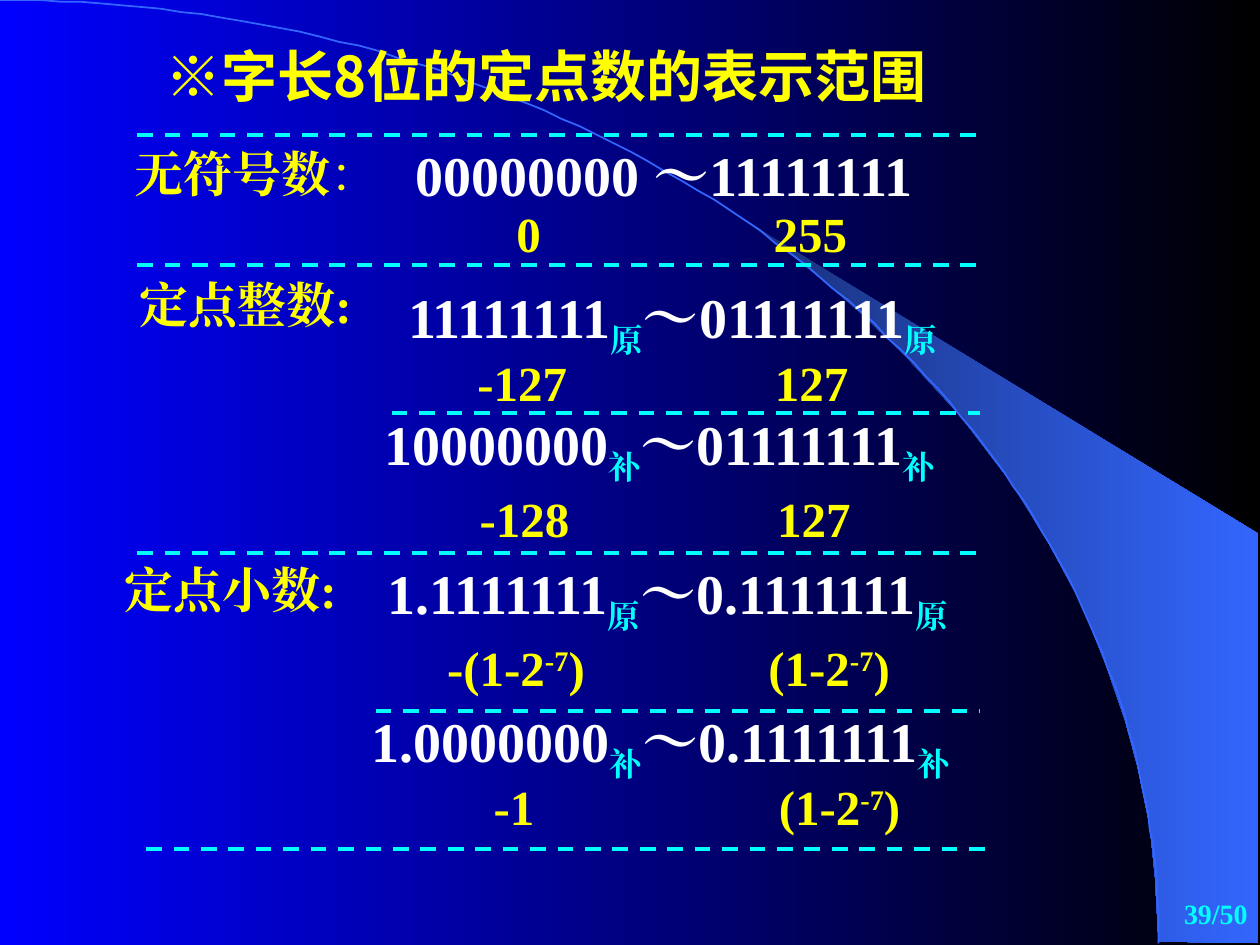
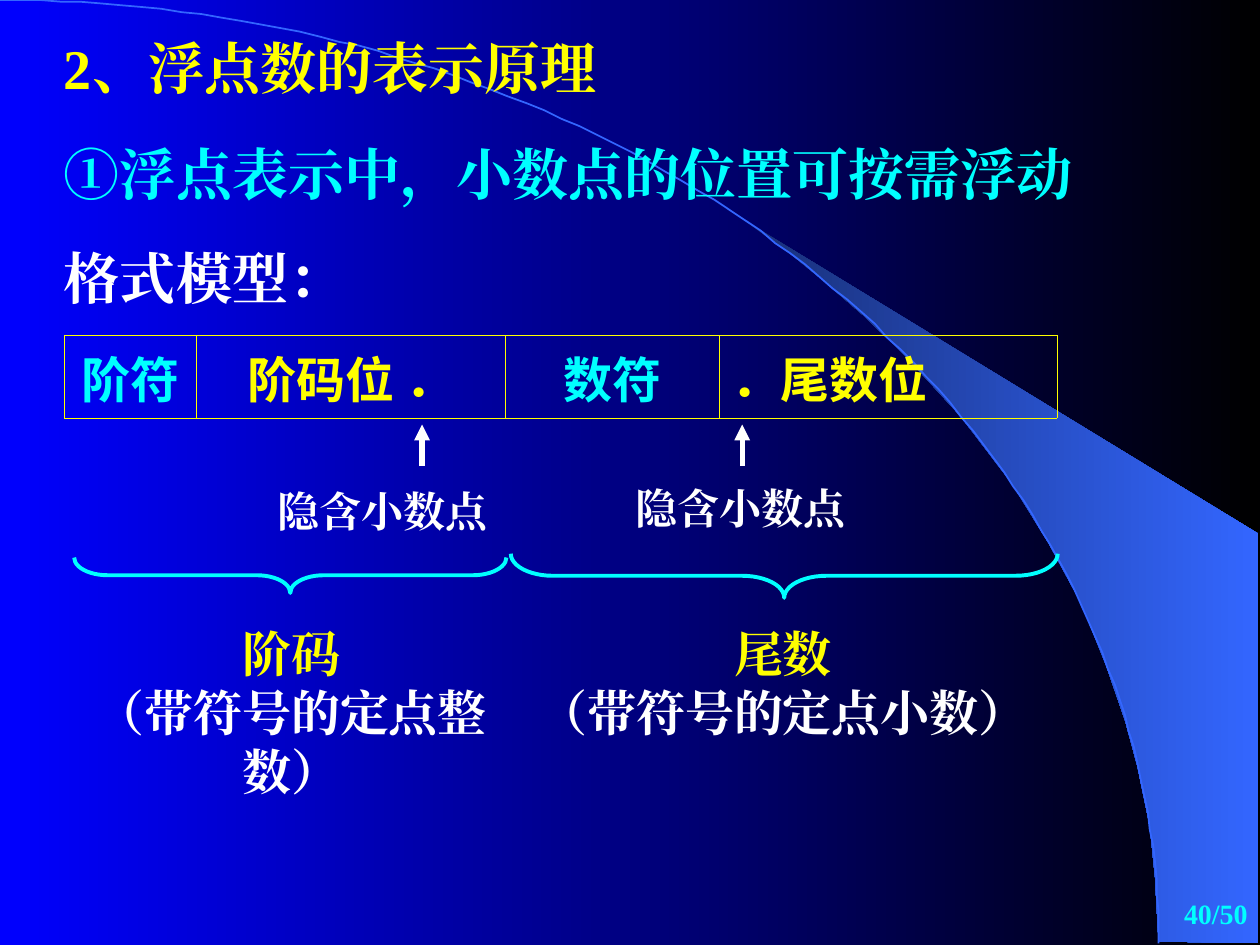
from dataclasses import dataclass
from math import cos, pi, sin
from typing import Optional

from lxml.etree import SubElement
from pptx import Presentation
from pptx.dml.color import RGBColor
from pptx.enum.dml import MSO_LINE
from pptx.enum.lang import MSO_LANGUAGE_ID
from pptx.enum.shapes import MSO_CONNECTOR, MSO_SHAPE
from pptx.enum.text import MSO_ANCHOR, PP_ALIGN
from pptx.oxml.ns import qn
from pptx.util import Pt


# Theme
@dataclass(frozen=True)
class Theme:
    blue: str = "0000FF"
    black: str = "000000"
    navy: str = "182F76"
    azure: str = "3366FF"
    yellow: str = "FFFF00"
    cyan: str = "00FFFF"
    white: str = "FFFFFF"
    serif: str = "Times New Roman"
    sans: str = "Noto Sans CJK SC"
    heading: int = 32
    body: int = 28
    note: int = 24
    footer: int = 16


THEME = Theme()
WIDTH, HEIGHT = 720, 540
TOTAL_PAGES = 50


# Descriptions of the repeated elements
@dataclass(frozen=True)
class Span:
    text: str
    color: Optional[str] = None
    baseline: int = 0
    bold: Optional[bool] = None


@dataclass(frozen=True)
class Para:
    spans: tuple[Span, ...]
    color: str = THEME.yellow
    size: int = THEME.body
    font: str = THEME.serif
    align: PP_ALIGN = PP_ALIGN.LEFT
    space_before: float = 0
    line_spacing: float = 1
    tab: Optional[float] = None


@dataclass(frozen=True)
class Area:
    left: float
    top: float
    width: float
    height: float


@dataclass(frozen=True)
class CodeRange:
    """Lowest and highest code word, with the name of the code as a subscript."""
    low: str
    high: str
    code: str
    area: Area
    line_spacing: float = 1


@dataclass(frozen=True)
class ValueRange:
    """Lowest and highest value, the second one at a tab stop."""
    low: tuple[Span, ...]
    high: tuple[Span, ...]
    left: float
    top: float
    tab: float


@dataclass(frozen=True)
class Rule:
    left: float
    right: float
    y: float


@dataclass(frozen=True)
class NumberPart:
    name: str
    note: str
    area: Area
    brace_center: tuple[float, float]
    brace_size: tuple[float, float]


@dataclass(frozen=True)
class PointMark:
    arrow_x: float
    label_left: float
    label_top: float


@dataclass(frozen=True)
class Field:
    text: str
    width: float
    color: str
    align: PP_ALIGN = PP_ALIGN.CENTER


# Drawing functions
def rgb(color: str) -> RGBColor:
    return RGBColor.from_string(color)


def write_para(paragraph, para: Para) -> None:
    paragraph.alignment = para.align
    paragraph.space_before = Pt(para.space_before)
    paragraph.line_spacing = para.line_spacing
    properties = paragraph._p.get_or_add_pPr()
    if para.tab is not None:
        tabs = SubElement(properties, qn("a:tabLst"))
        SubElement(tabs, qn("a:tab"), pos=str(Pt(para.tab)), algn="l")
    font = paragraph.font
    font.size, font.name, font.bold = Pt(para.size), para.font, True
    font.language_id = MSO_LANGUAGE_ID.SIMPLIFIED_CHINESE
    font.color.rgb = rgb(para.color)
    SubElement(properties.find(qn("a:defRPr")), qn("a:ea"), typeface=para.font)
    for span in para.spans:
        run = paragraph.add_run()
        run.text = span.text
        if span.color:
            run.font.color.rgb = rgb(span.color)
        if span.bold is not None:
            run.font.bold = span.bold
        if span.baseline:
            run._r.get_or_add_rPr().set("baseline", str(span.baseline * 1000))


def add_text(page, area: Area, *paras: Para, inset: tuple[float, float] = (7.2, 3.6),
             anchor: MSO_ANCHOR = MSO_ANCHOR.TOP) -> None:
    box = page.shapes.add_textbox(Pt(area.left), Pt(area.top), Pt(area.width), Pt(area.height))
    frame = box.text_frame
    frame.word_wrap = True
    frame.vertical_anchor = anchor
    frame.margin_left = frame.margin_right = Pt(inset[0])
    frame.margin_top = frame.margin_bottom = Pt(inset[1])
    for index, para in enumerate(paras):
        write_para(frame.add_paragraph() if index else frame.paragraphs[0], para)


def add_line(page, start: tuple[float, float], end: tuple[float, float],
             color: str, width: float):
    line = page.shapes.add_connector(MSO_CONNECTOR.STRAIGHT, *map(Pt, start + end))
    line.line.color.rgb = rgb(color)
    line.line.width = Pt(width)
    SubElement(line._element.spPr, qn("a:effectLst"))
    return line


def set_gradient(fill, first: str, last: str) -> None:
    fill.gradient()
    fill.gradient_angle = 0
    for stop, color in zip(fill.gradient_stops, (first, last)):
        stop.color.rgb = rgb(color)


def add_outline(page, points: list[tuple[float, float]], close: bool):
    builder = page.shapes.build_freeform(*points[0], scale=Pt(1))
    builder.add_line_segments(points[1:], close=close)
    shape = builder.convert_to_shape()
    shape.shadow.inherit = False
    return shape


# Shared page: background, light beam, arc and page number
BEAM = [(662.4, 538.5), (719.3, 539.3), (719.3, 304.6), (424.1, 124.6), (449.3, 143.3),
        (470.2, 159.8), (493.2, 180), (515.5, 201.6), (548.6, 237.6), (578.2, 276.5),
        (599, 310.3), (617.8, 344.9), (632.2, 380.2), (643, 411.8), (650.2, 438.5),
        (657.4, 472.3), (660.2, 501.1)]
ARC_WIDTH, ARC_HEIGHT, ARC_STEPS = 662.4, 539.3, 90


def add_page(deck, number: int):
    page = deck.slides.add_slide(deck.slide_layouts[6])
    set_gradient(page.background.fill, THEME.blue, THEME.black)
    beam = add_outline(page, BEAM, close=True)
    set_gradient(beam.fill, THEME.navy, THEME.azure)
    beam.line.fill.background()
    angles = [step * pi / 2 / ARC_STEPS for step in range(ARC_STEPS + 1)]
    arc = add_outline(page, [(ARC_WIDTH * sin(angle), ARC_HEIGHT * (1 - cos(angle)))
                             for angle in angles], close=False)
    arc.fill.background()
    arc.line.color.rgb = rgb(THEME.azure)
    arc.line.width = Pt(1)
    add_text(page, Area(570.2, 504, 149.8, 36),
             Para((Span(f"{number}/{TOTAL_PAGES}"),), THEME.cyan, THEME.footer,
                  align=PP_ALIGN.RIGHT), anchor=MSO_ANCHOR.MIDDLE)
    return page


# Ranges of 8-bit fixed-point numbers
POWER = Span("-7", baseline=30)
MAX_FRACTION = (Span("(1-2"), POWER, Span(")"))
LABELS = [
    ((Span("无符号数"), Span("：", bold=False)), 69.8, 78.5),
    ((Span("定点整数:"),), 72.7, 153.4),
    ((Span("定点小数:"),), 64.1, 316.1),
]
CODE_RANGES = [
    CodeRange("00000000 ", "11111111", "", Area(230.4, 77, 345, 46)),
    CodeRange("11111111", "01111111", "原", Area(226.1, 149, 380, 60), 1.2),
    CodeRange("10000000", "01111111", "补", Area(212.4, 230.4, 380, 51)),
    CodeRange("1.1111111", "0.1111111", "原", Area(214.6, 315.4, 400, 51)),
    CodeRange("1.0000000", "0.1111111", "补", Area(205.2, 400.3, 410, 51)),
]
VALUE_RANGES = [
    ValueRange((Span("0"),), (Span("255"),), 288, 113, 147),
    ValueRange((Span("-127"),), (Span("127"),), 265.7, 198, 170),
    ValueRange((Span("-128"),), (Span("127"),), 267, 275.8, 170),
    ValueRange((Span("-(1-2"), POWER, Span(")")), MAX_FRACTION, 248.4, 360.7, 183.6),
    ValueRange((Span("-1"),), MAX_FRACTION, 275, 440, 163),
]
RULES = [Rule(78.5, 560.2, 77), Rule(78.5, 560.2, 151.2), Rule(78.5, 560.2, 316.1),
         Rule(83.5, 565.2, 485.3), Rule(223.9, 560.2, 236.2), Rule(214.6, 560.2, 406.1)]


def build_range_page(deck) -> None:
    page = add_page(deck, 39)
    add_text(page, Area(54.7, 20.2, 514.8, 46),
             Para((Span("※字长8位的定点数的表示范围"),), size=THEME.heading,
                  font=THEME.sans, align=PP_ALIGN.CENTER))
    for spans, left, top in LABELS:
        add_text(page, Area(left, top, 170, 41), Para(spans))
    for item in CODE_RANGES:
        code = (Span(item.code, THEME.cyan, -25),) if item.code else ()
        spans = (Span(item.low), *code, Span("～" + item.high), *code)
        add_text(page, item.area, Para(spans, THEME.white, THEME.heading,
                                       line_spacing=item.line_spacing))
    for item in VALUE_RANGES:
        add_text(page, Area(item.left, item.top, 315, 41),
                 Para((*item.low, Span("\t"), *item.high), tab=item.tab))
    for rule in RULES:
        line = add_line(page, (rule.left, rule.y), (rule.right, rule.y), THEME.cyan, 2.25)
        line.line.dash_style = MSO_LINE.DASH


# Floating-point format
FIELDS = [Field("阶符", 75.6, THEME.cyan), Field("阶码位 ．", 176.4, THEME.yellow),
          Field("数符", 122.4, THEME.cyan),
          Field("．尾数位", 193, THEME.yellow, PP_ALIGN.LEFT)]
POINT_MARKS = [PointMark(241.2, 150.5, 276.5), PointMark(424.1, 355, 275)]
NUMBER_PARTS = [
    NumberPart("阶码", "（带符号的定点整数）", Area(27.4, 355.7, 277.9, 84.2),
               (165.9, 328.7), (20.2, 247)),
    NumberPart("尾数", "（带符号的定点小数）", Area(296.6, 355.7, 301.7, 90),
               (448.2, 329), (25.2, 312.5)),
]


def add_format_table(page) -> None:
    table = page.shapes.add_table(1, len(FIELDS), Pt(36.7), Pt(191.5),
                                  Pt(sum(field.width for field in FIELDS)), Pt(47.4)).table
    table.first_row = table.horz_banding = False
    for index, field in enumerate(FIELDS):
        table.columns[index].width = Pt(field.width)
        cell = table.cell(0, index)
        cell.vertical_anchor = MSO_ANCHOR.MIDDLE
        write_para(cell.text_frame.paragraphs[0],
                   Para((Span(field.text),), field.color, font=THEME.sans, align=field.align))
        properties = cell._tc.get_or_add_tcPr()
        for side in ("lnL", "lnR", "lnT", "lnB"):
            border = SubElement(properties, qn(f"a:{side}"), w=str(Pt(0.45)))
            SubElement(SubElement(border, qn("a:solidFill")), qn("a:srgbClr"), val=THEME.yellow)
        cell.fill.background()


def add_number_part(page, part: NumberPart) -> None:
    depth, length = part.brace_size
    center_x, center_y = part.brace_center
    brace = page.shapes.add_shape(MSO_SHAPE.LEFT_BRACE, Pt(center_x - depth / 2),
                                  Pt(center_y - length / 2), Pt(depth), Pt(length))
    brace.rotation = 270
    brace.adjustments[0] = 0.95
    brace.shadow.inherit = False
    brace.fill.background()
    brace.line.color.rgb = rgb(THEME.cyan)
    brace.line.width = Pt(2.25)
    add_text(page, part.area, Para((Span(part.name),), align=PP_ALIGN.CENTER),
             Para((Span(part.note),), THEME.white, align=PP_ALIGN.CENTER), inset=(4.3, 0.7))


def add_point_mark(page, mark: PointMark) -> None:
    add_text(page, Area(mark.label_left, mark.label_top, 136, 38),
             Para((Span("隐含小数点"),), THEME.white, THEME.note, align=PP_ALIGN.CENTER),
             inset=(4.3, 0.7))
    arrow = add_line(page, (mark.arrow_x, 266.4), (mark.arrow_x, 242.6), THEME.white, 3)
    SubElement(arrow.line._get_or_add_ln(), qn("a:tailEnd"), type="triangle")


def build_float_page(deck) -> None:
    page = add_page(deck, 40)
    add_text(page, Area(29.5, 20.2, 676, 164),
             Para((Span("2、浮点数的表示原理"),), size=THEME.heading, line_spacing=0.9),
             Para((Span("①浮点表示中，小数点的位置可按需浮动"),), THEME.cyan, THEME.heading,
                  space_before=26, line_spacing=0.9),
             Para((Span("格式模型："),), THEME.white, THEME.heading, space_before=20))
    add_format_table(page)
    for part in NUMBER_PARTS:
        add_number_part(page, part)
    for mark in POINT_MARKS:
        add_point_mark(page, mark)


def main() -> None:
    deck = Presentation()
    deck.slide_width, deck.slide_height = Pt(WIDTH), Pt(HEIGHT)
    build_range_page(deck)
    build_float_page(deck)
    deck.save("out.pptx")


if __name__ == "__main__":
    main()
